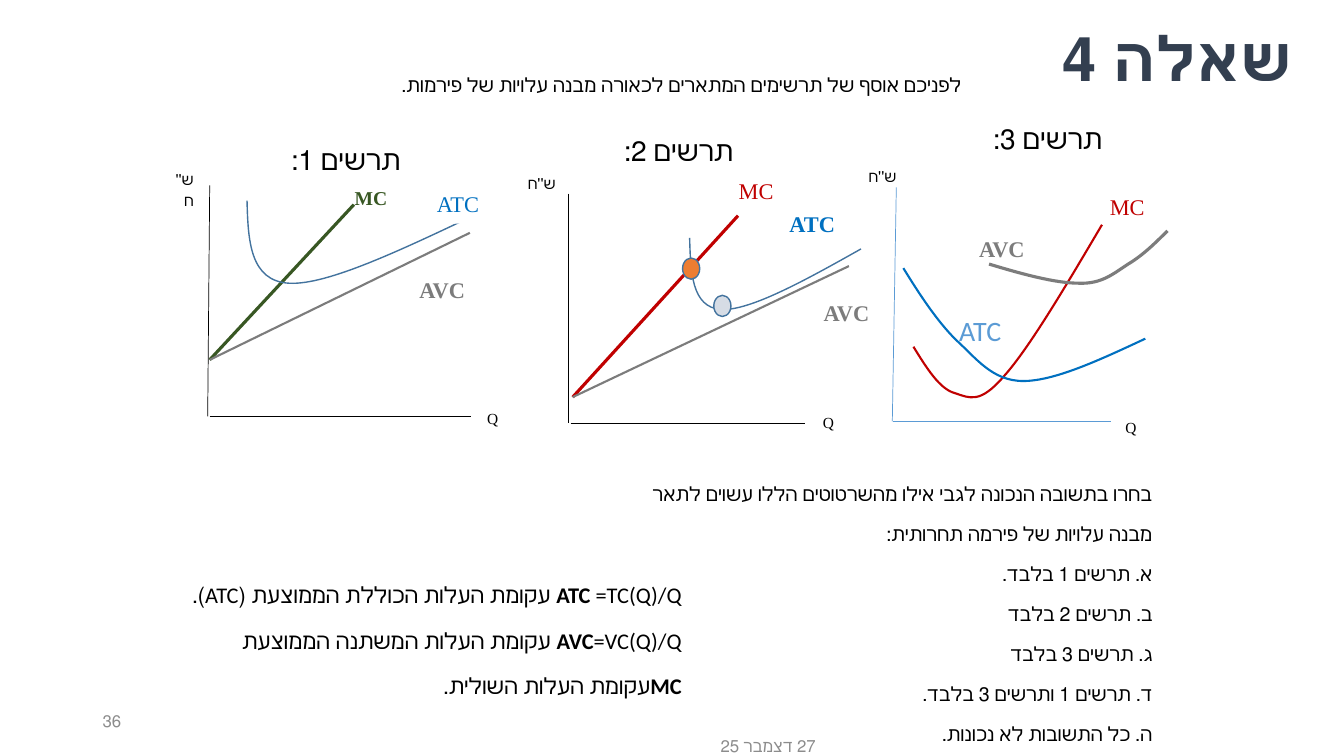
from dataclasses import dataclass

from lxml.etree import SubElement
from pptx import Presentation
from pptx.dml.color import RGBColor
from pptx.enum.shapes import MSO_CONNECTOR, MSO_SHAPE
from pptx.enum.text import MSO_ANCHOR, PP_ALIGN
from pptx.oxml.ns import qn
from pptx.util import Inches, Pt

BLACK, WHITE, GRAY, FOOTER = "000000", "FFFFFF", "7C7C7C", "8C8C8C"
RED, BLUE, GREEN, OUTLINE, SKY = "C00000", "0070C0", "385723", "43739E", "5B9BD5"
SERIF = "Times New Roman"
Point = tuple[float, float]
Box = tuple[float, float, float, float]


@dataclass
class Style:
    size: float
    color: str = BLACK
    bold: bool = False
    font: str = "Calibri"
    spacing: float = 1.0
    before: float = 0
    after: float = 0
    align: PP_ALIGN = PP_ALIGN.RIGHT
    anchor: MSO_ANCHOR = MSO_ANCHOR.TOP
    fill: str | None = None


@dataclass
class Label:
    text: str
    box: Box
    style: Style


@dataclass
class Line:
    start: Point
    end: Point
    color: str
    width: float


@dataclass
class Curve:
    points: list[Point]
    color: str
    width: float


@dataclass
class Dot:
    left: float
    top: float
    fill: str


@dataclass
class Diagram:
    title: Label
    items: list[Line | Curve | Label | Dot]


def rgb(color: str) -> RGBColor:
    return RGBColor.from_string(color)


def curve_label(color: str, bold: bool = False) -> Style:
    return Style(16, color, bold, SERIF, 1.15, after=10, fill=WHITE)


def mc_label(color: str, size: float = 16, bold: bool = False) -> Style:
    return Style(size, color, bold, SERIF, 1.5)


HEADING = Style(20, spacing=1.7, before=4)
QUANTITY = Style(11, font=SERIF, spacing=1.15, after=10, fill=WHITE)
CURRENCY = Style(11, font=SERIF, spacing=1.15, after=10)

TEXTS = [
    Label("שאלה 4", (3.92, -0.01, 9, 1.25),
          Style(44, "333F50", True, spacing=0.9, anchor=MSO_ANCHOR.MIDDLE)),
    Label("לפניכם אוסף של תרשימים המתארים לכאורה מבנה עלויות של פירמות.",
          (2.26, 0.51, 7.38, 3.52), Style(14, spacing=1.7, before=10)),
    Label("27 דצמבר 25", (5.86, 7.2, 2.33, 0.4),
          Style(12, FOOTER, anchor=MSO_ANCHOR.MIDDLE)),
    Label("36", (0.92, 6.95, 3, 0.4),
          Style(12, FOOTER, align=PP_ALIGN.LEFT, anchor=MSO_ANCHOR.MIDDLE)),
    Label("*ATC* =TC(Q)/Q עקומת העלות הכוללת הממוצעת (ATC).\n"
          "*AVC*=VC(Q)/Q עקומת העלות המשתנה הממוצעת\n"
          "*MC*\tעקומת העלות השולית.", (1.43, 5.53, 5.43, 1.42), Style(16, spacing=1.7)),
    Label("בחרו בתשובה הנכונה לגבי אילו מהשרטוטים הללו עשוים לתאר "
          "מבנה עלויות של פירמה תחרותית:\vא. תרשים 1 בלבד.\n"
          "ב. תרשים 2 בלבד\nג. תרשים 3 בלבד\n"
          "ד. תרשים 1 ותרשים 3 בלבד.\nה. כל התשובות לא נכונות.",
          (6.26, 4.57, 5.27, 2.85), Style(14, spacing=1.7)),
]

DIAGRAMS = [
    Diagram(Label("תרשים 1:", (2.29, 1.13, 1.78, 0.44), HEADING), [
        Line((2.08, 1.84), (2.06, 4.13), BLACK, 0.5),
        Line((2.08, 4.13), (4.67, 4.13), BLACK, 0.5),
        Line((2.08, 3.57), (3.51, 2.03), GREEN, 2.25),
        Line((2.08, 3.57), (4.66, 2.31), GRAY, 1.5),
        Curve([(2.45, 1.99), (2.46, 2.39), (2.48, 2.79), (2.87, 2.81),
               (3.25, 2.83), (4, 2.47), (4.76, 2.11)], OUTLINE, 1),
        Label("MC", (3.35, 1.68, 0.59, 0.42), mc_label(GREEN, 14, True)),
        Label("ATC", (4.18, 1.8, 0.67, 0.42), curve_label(BLUE)),
        Label("AVC", (4.04, 2.65, 0.67, 0.47), curve_label(GRAY, True)),
        Label("Q", (4.73, 3.98, 0.31, 0.42), QUANTITY),
        Label("ש''ח", (1.56, 1.61, 0.46, 0.42), CURRENCY),
    ]),
    Diagram(Label("תרשים 2:", (4.9, 1.04, 2.47, 0.79), HEADING), [
        Line((5.64, 1.92), (5.64, 4.2), BLACK, 0.5),
        Line((5.66, 4.2), (7.98, 4.2), BLACK, 0.5),
        Line((5.68, 3.94), (7.32, 2.14), RED, 2.25),
        Line((5.68, 3.94), (8.42, 2.64), GRAY, 1.5),
        Curve([(6.84, 2.36), (6.85, 2.7), (6.86, 3.05), (7.15, 3.07),
               (7.43, 3.09), (7.99, 2.78), (8.54, 2.47)], OUTLINE, 1),
        Label("MC", (7.06, 1.57, 0.71, 0.49), mc_label(RED)),
        Label("ATC", (7.67, 2, 0.71, 0.49), curve_label(BLUE, True)),
        Label("AVC", (7.98, 2.88, 0.74, 0.49), curve_label(GRAY, True)),
        Label("Q", (8.02, 4.02, 0.35, 0.49), QUANTITY),
        Label("ש''ח", (5.08, 1.65, 0.53, 0.49), CURRENCY),
        Dot(6.77, 2.56, "ED7D31"),
        Dot(7.08, 2.93, "D6DCE5"),
    ]),
    Diagram(Label("תרשים 3:", (8.56, 0.92, 2.47, 0.79), HEADING), [
        Line((8.89, 1.86), (8.85, 4.18), SKY, 0.5),
        Line((8.86, 4.18), (11.25, 4.18), SKY, 0.5),
        Curve([(9.06, 3.44), (9.19, 3.65), (9.32, 3.86), (9.47, 3.9), (9.62, 3.95),
               (9.72, 4.01), (9.96, 3.73), (10.21, 3.45), (10.57, 2.84), (10.93, 2.23)], RED, 1.5),
        Curve([(11.58, 2.29), (11.46, 2.41), (11.34, 2.53), (11.19, 2.62), (11.05, 2.71),
               (10.93, 2.82), (10.7, 2.81), (10.47, 2.81), (10.14, 2.72), (9.81, 2.62)], GRAY, 2.25),
        Curve([(8.96, 2.66), (9.12, 2.92), (9.29, 3.18), (9.48, 3.37), (9.68, 3.55),
               (9.84, 3.78), (10.15, 3.78), (10.46, 3.78), (10.91, 3.57), (11.36, 3.36)], BLUE, 1.5),
        Label("ATC", (9.4, 3.06, 0.63, 0.44), Style(20, SKY)),
        Label("MC", (10.74, 1.73, 0.71, 0.49), mc_label(RED)),
        Label("Q", (11.02, 4.07, 0.35, 0.49), QUANTITY),
        Label("AVC", (9.52, 2.24, 0.74, 0.34), curve_label(GRAY, True)),
        Label("ש''ח", (8.46, 1.58, 0.53, 0.49), CURRENCY),
    ]),
]


def draw_label(shapes, label: Label) -> None:
    style, box = label.style, [Inches(v) for v in label.box]
    if style.fill:
        sp = shapes.add_shape(MSO_SHAPE.RECTANGLE, *box)
        sp.shadow.inherit = False
        sp.fill.solid()
        sp.fill.fore_color.rgb = rgb(style.fill)
        sp.line.fill.background()
    else:
        sp = shapes.add_textbox(*box)
    tf = sp.text_frame
    tf.word_wrap, tf.vertical_anchor = True, style.anchor
    paragraph_format = {"alignment": style.align, "line_spacing": style.spacing,
                        "space_before": Pt(style.before), "space_after": Pt(style.after)}
    for i, text in enumerate(label.text.split("\n")):
        p = tf.add_paragraph() if i else tf.paragraphs[0]
        for name, value in paragraph_format.items():
            setattr(p, name, value)
        pPr = p._p.get_or_add_pPr()
        pPr.set("rtl", "1")
        if "\t" in text:
            tabs = SubElement(pPr, qn("a:tabLst"))
            SubElement(tabs, qn("a:tab"), pos=str(Inches(1.26)), algn="l")
        for j, piece in enumerate(text.split("*")):
            for k, line in enumerate(piece.split("\v")):
                if k:
                    p.add_line_break()
                if line:
                    r = p.add_run()
                    r.text = line
                    font_format = {"size": Pt(style.size), "name": style.font,
                                   "bold": style.bold or j % 2 == 1}
                    for name, value in font_format.items():
                        setattr(r.font, name, value)
                    r.font.color.rgb = rgb(style.color)


def draw_line(shapes, line: Line) -> None:
    ends = [Inches(v) for v in line.start + line.end]
    cxn = shapes.add_connector(MSO_CONNECTOR.STRAIGHT, *ends)
    cxn.line.color.rgb, cxn.line.width = rgb(line.color), Pt(line.width)
    SubElement(cxn._element.spPr, qn("a:effectLst"))


def draw_curve(shapes, curve: Curve) -> None:
    start, *rest = [(Inches(x), Inches(y)) for x, y in curve.points]
    builder = shapes.build_freeform(*start)
    builder.add_line_segments(rest, close=False)
    sp = builder.convert_to_shape()
    sp.shadow.inherit = False
    sp.fill.background()
    sp.line.color.rgb, sp.line.width = rgb(curve.color), Pt(curve.width)
    outline = next(sp._element.iter(qn("a:pathLst")))[0]
    segments = outline.findall(qn("a:lnTo"))
    for i in range(0, len(segments), 3):
        bezier = SubElement(outline, qn("a:cubicBezTo"))
        for segment in segments[i:i + 3]:
            bezier.append(segment[0])
            outline.remove(segment)


def draw_dot(shapes, dot: Dot) -> None:
    sp = shapes.add_shape(MSO_SHAPE.OVAL, *map(Inches, (dot.left, dot.top, 0.17, 0.21)))
    sp.shadow.inherit = False
    sp.fill.solid()
    sp.fill.fore_color.rgb = rgb(dot.fill)
    sp.line.color.rgb, sp.line.width = rgb(OUTLINE), Pt(1)


DRAW = {Label: draw_label, Line: draw_line, Curve: draw_curve, Dot: draw_dot}


def main() -> None:
    prs = Presentation()
    prs.slide_width, prs.slide_height = Inches(13.33), Inches(7.5)
    s = prs.slides.add_slide(prs.slide_layouts[6])
    for label in TEXTS:
        draw_label(s.shapes, label)
    for diagram in DIAGRAMS:
        draw_label(s.shapes, diagram.title)
        group = s.shapes.add_group_shape()
        for item in diagram.items:
            DRAW[type(item)](group.shapes, item)
    prs.save("out.pptx")


if __name__ == "__main__":
    main()
